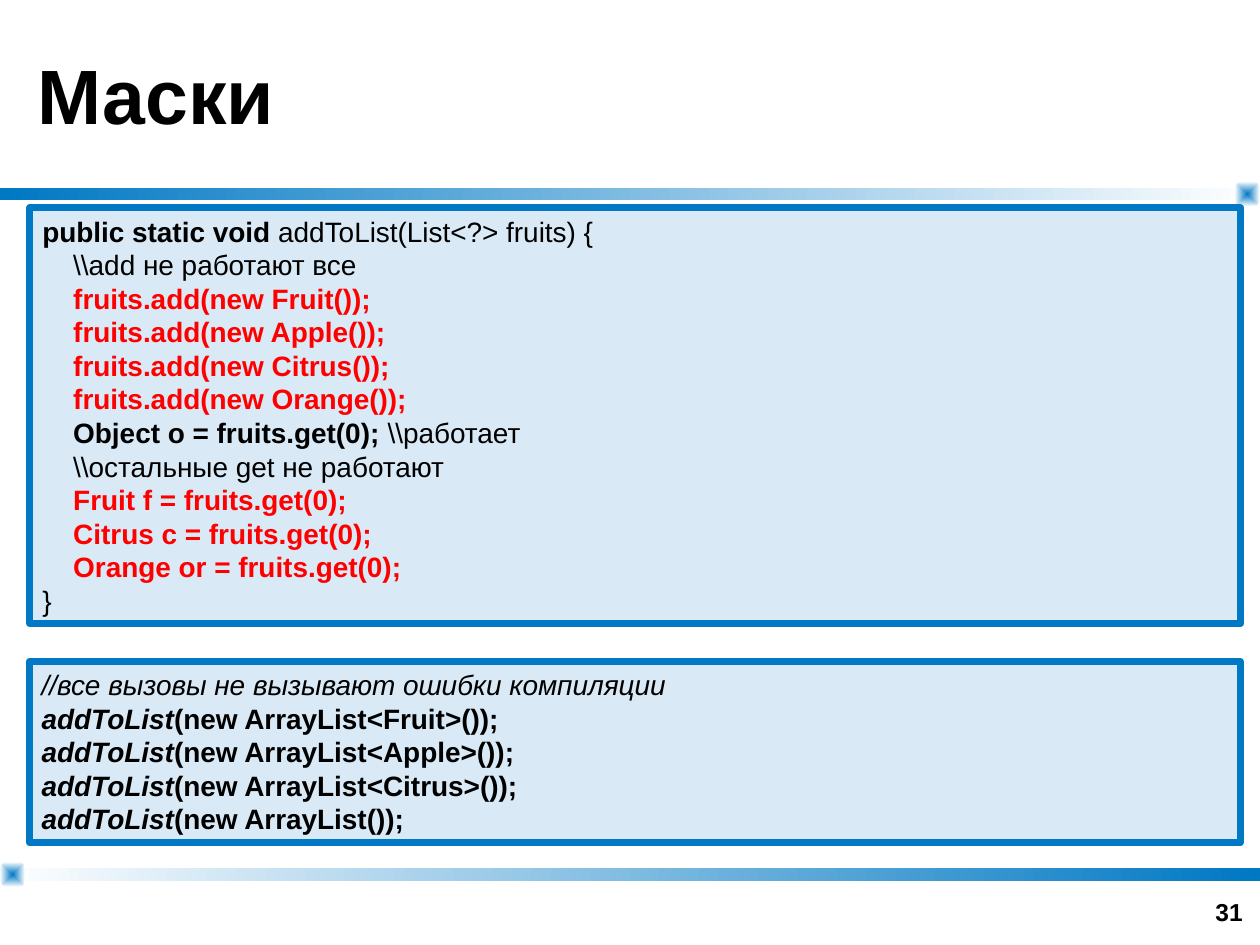
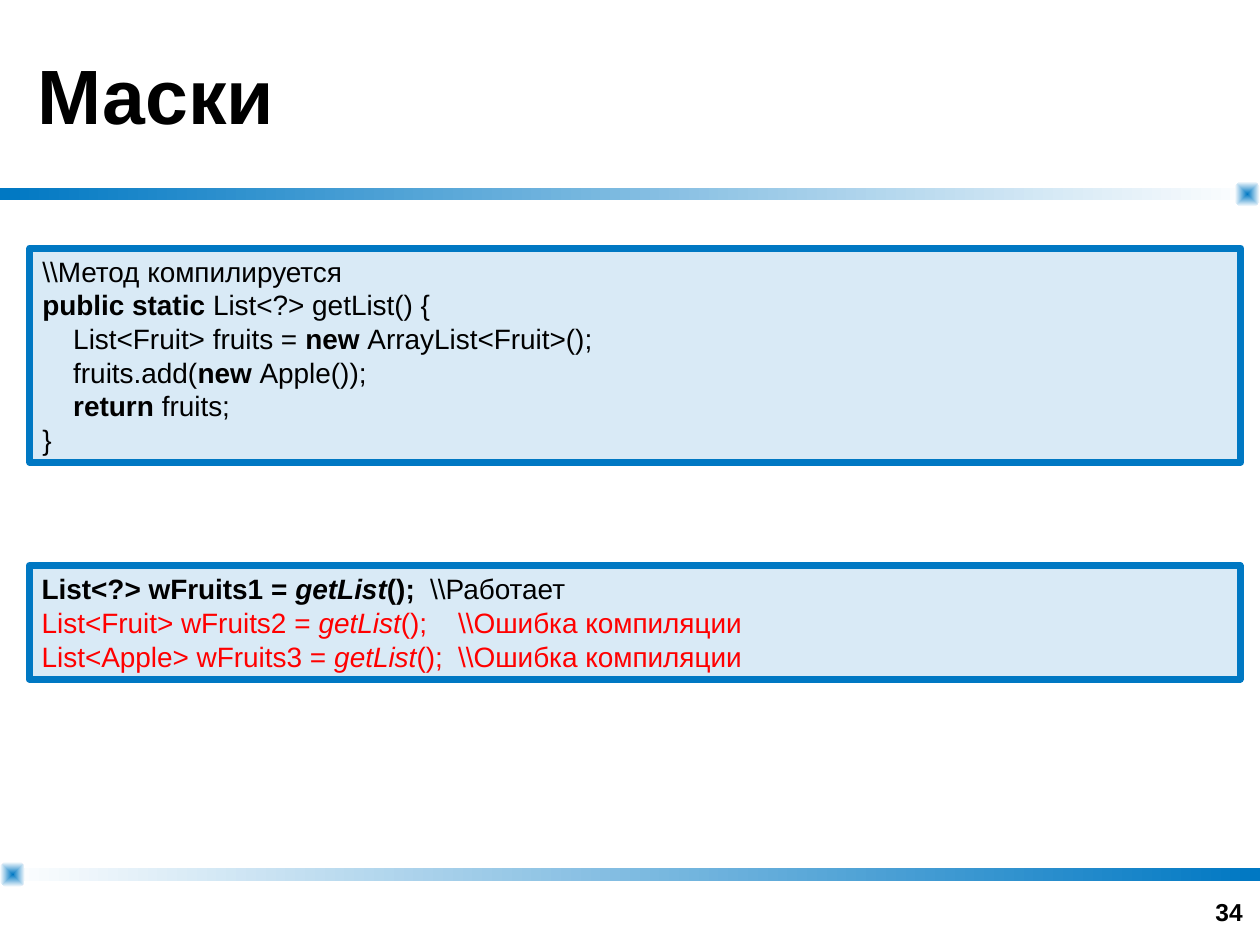
from lxml import etree
from pptx import Presentation
from pptx.dml.color import RGBColor
from pptx.enum import shapes, text
from pptx.oxml import ns
from pptx.util import Pt

BLUE, WHITE, BLACK, RED = "0078C3", "FFFFFF", "000000", "FF0000"
FONT = "Arial"


def paint(color, hex_code):
    color.rgb = RGBColor.from_string(hex_code)


def format_span(span, size, hex_code=BLACK, bold=False, italic=False):
    span.font.name, span.font.size = FONT, Pt(size)
    span.font.bold, span.font.italic = bold, italic
    paint(span.font.color, hex_code)


# Code lines are lists of (style, text): b bold, i italic, r red
wildcard_method = [
    [("b", "public static void "), ("", "addToList(List<?> fruits) {")],
    [("", r"    \\add не работают все")],
    *[[("rb", f"    fruits.add(new {kind}());")]
      for kind in ("Fruit", "Apple", "Citrus", "Orange")],
    [("b", "    Object o = fruits.get(0); "), ("", r"\\работает")],
    [("", r"    \\остальные get не работают")],
    *[[("rb", f"    {variable} = fruits.get(0);")]
      for variable in ("Fruit f", "Citrus c", "Orange or")],
    [("", "}")],
]
method_calls = [
    [("i", "//все вызовы не вызывают ошибки компиляции")],
    *[[("bi", "addToList"), ("b", f"(new ArrayList{kind}());")]
      for kind in ("<Fruit>", "<Apple>", "<Citrus>", "")],
]
list_getter = [
    [("", r"\\Метод компилируется")],
    [("b", "public static "), ("", "List<?> getList() {")],
    [("", "    List<Fruit> fruits = "), ("b", "new "),
     ("", "ArrayList<Fruit>();")],
    [("", "    fruits.add("), ("b", "new "), ("", "Apple());")],
    [("b", "    return "), ("", "fruits;")],
    [("", "}")],
]
getter_results = [
    [("b", "List<?> wFruits1 = "), ("bi", "getList"), ("b", "();\t"),
     ("", r"\\Работает")],
    *[[("r", f"List<{kind}> wFruits{number} = "), ("ri", "getList"),
       ("r", "();\t"), ("r", r"\\Ошибка компиляции")]
      for number, kind in ((2, "Fruit"), (3, "Apple"))],
]

# Slide number, then panels as (left, top, height, lines)
pages = [
    ("31", [(17.1, 118.8, 237.6, wildcard_method),
            (16.7, 378, 103.7, method_calls)]),
    ("34", [(17.1, 141.8, 122.4, list_getter),
            (16.7, 323.3, 64.8, getter_results)]),
]

deck = Presentation()
deck.slide_width, deck.slide_height = Pt(720), Pt(540)
layout = deck.slide_layouts[5]

# Shared title place
layout_title = layout.placeholders[0]
layout_title.left, layout_title.top = Pt(14.4), Pt(0)
layout_title.width, layout_title.height = Pt(691.2), Pt(107.3)

for page_index, (number, panels) in enumerate(pages):
    page = deck.slides.add_slide(layout)

    # Shared bands and corner squares, moved to the layout
    if page_index == 0:
        bar, square = shapes.MSO_SHAPE.RECTANGLE, shapes.MSO_SHAPE.ROUNDED_RECTANGLE
        for kind, left, top, width, height, colors in (
            (bar, 0, 107.3, 720, 7.2, (BLUE, WHITE)),
            (bar, 0, 496.1, 720, 7.2, (WHITE, BLUE)),
            (square, 705.6, 103.7, 14.4, 14.4, (BLUE, WHITE)),
            (square, 0, 492.5, 14.4, 14.4, (BLUE, WHITE)),
        ):
            band = page.shapes.add_shape(kind, Pt(left), Pt(top), Pt(width), Pt(height))
            band.shadow.inherit = False
            band.line.fill.background()
            band.fill.gradient()
            band.fill.gradient_angle = 0
            for stop, hex_code in zip(band.fill.gradient_stops, colors):
                paint(stop.color, hex_code)
            if kind == square:
                band.adjustments[0] = 0.32
                linear = band.element.spPr.find(".//" + ns.qn("a:lin"))
                glow = etree.SubElement(linear.getparent(), ns.qn("a:path"), path="rect")
                etree.SubElement(glow, ns.qn("a:fillToRect"),
                                 {side: "50000" for side in "ltrb"})
                linear.getparent().replace(linear, glow)
            layout.shapes.element.append(band.element)

    # Title
    title = page.shapes.title
    title.text_frame.text = "Маски"
    title.text_frame.vertical_anchor = text.MSO_ANCHOR.MIDDLE
    para = title.text_frame.paragraphs[0]
    para.alignment = text.PP_ALIGN.LEFT
    format_span(para.runs[0], 44, bold=True)

    # Slide number
    box = page.shapes.add_textbox(Pt(549.4), Pt(496.8), Pt(167.8), Pt(36))
    box.text_frame.word_wrap = True
    box.text_frame.vertical_anchor = text.MSO_ANCHOR.BOTTOM
    box.text_frame.text = number
    para = box.text_frame.paragraphs[0]
    para.alignment = text.PP_ALIGN.RIGHT
    format_span(para.runs[0], 14, bold=True)

    # Code panels
    for left, top, height, lines in panels:
        panel = page.shapes.add_shape(shapes.MSO_SHAPE.RECTANGLE,
                                      Pt(left), Pt(top), Pt(691.9), Pt(height))
        panel.shadow.inherit = False
        panel.line.width = Pt(4)
        paint(panel.line.color, BLUE)
        panel.fill.solid()
        paint(panel.fill.fore_color, BLUE)
        tint = panel.element.spPr.find(ns.qn("a:solidFill"))[0]
        etree.SubElement(tint, ns.qn("a:alpha"), val="15000")

        frame = panel.text_frame
        frame.word_wrap = True
        frame.vertical_anchor = text.MSO_ANCHOR.TOP
        for line_index, line in enumerate(lines):
            para = frame.add_paragraph() if line_index else frame.paragraphs[0]
            if any("\t" in words for _, words in line):
                comment_stop = Pt(238) if "r" in line[0][0] else Pt(222)
                tabs = etree.SubElement(para._p.get_or_add_pPr(), ns.qn("a:tabLst"))
                etree.SubElement(tabs, ns.qn("a:tab"), pos=str(comment_stop), algn="l")
            para.alignment = text.PP_ALIGN.LEFT
            for style, words in line:
                span = para.add_run()
                span.text = words
                format_span(span, 16, RED if "r" in style else BLACK,
                            "b" in style, "i" in style)

deck.save("out.pptx")
